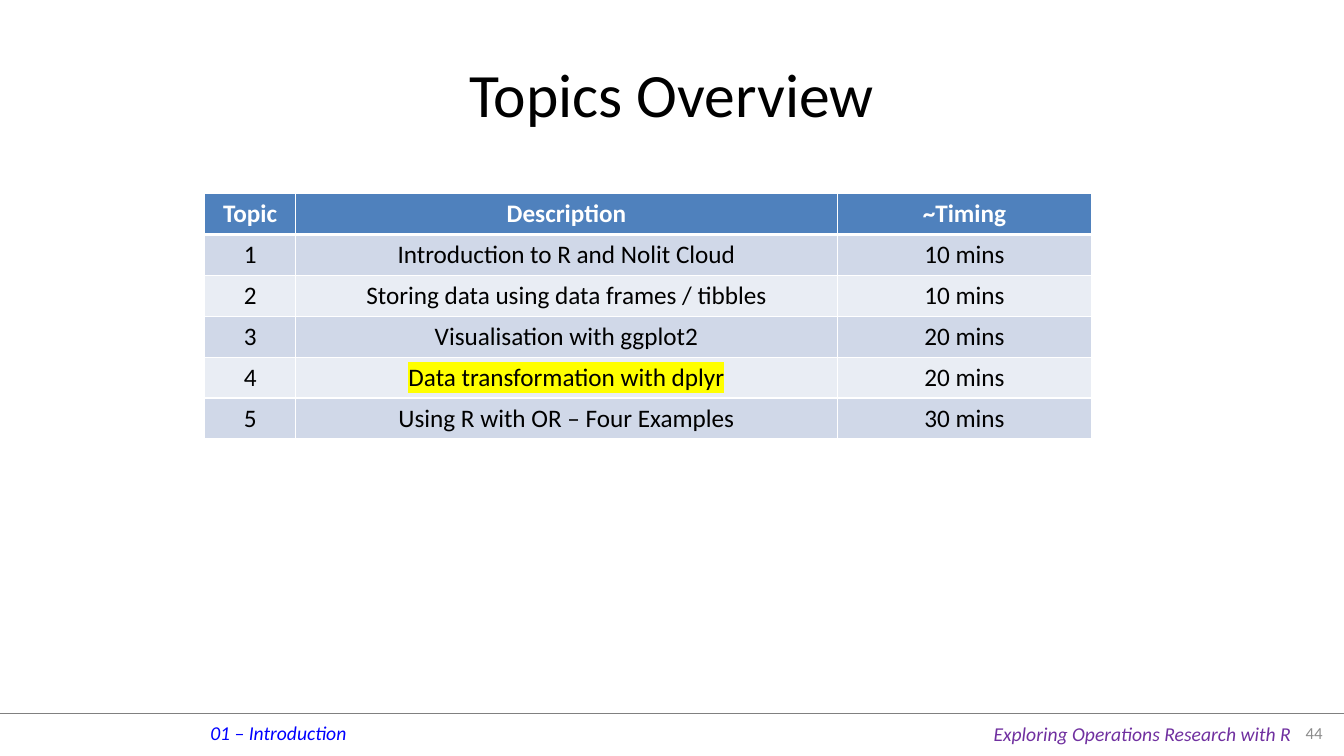
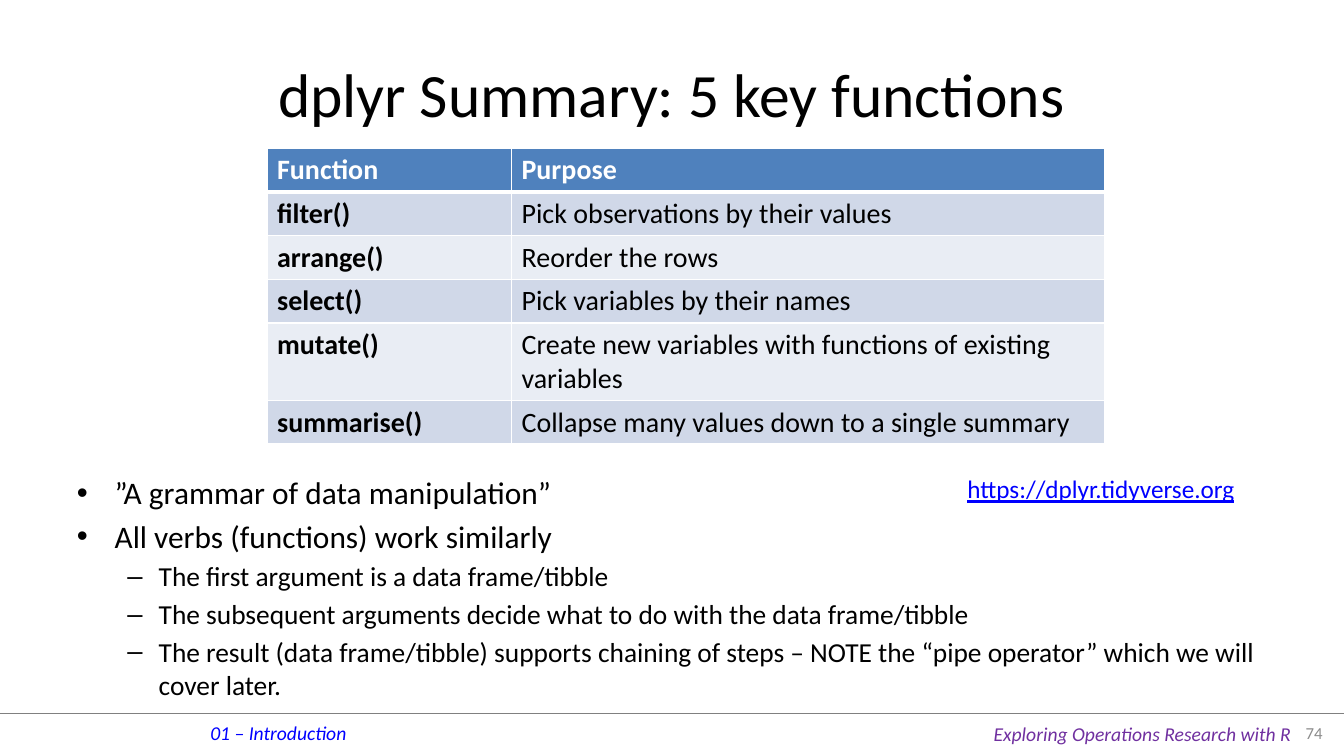
"""Build two course slides: a topic overview and a dplyr summary."""
from dataclasses import dataclass

from lxml.etree import SubElement
from pptx import Presentation
from pptx.dml.color import RGBColor
from pptx.enum.shapes import MSO_CONNECTOR
from pptx.enum.text import MSO_ANCHOR, MSO_AUTO_SIZE, PP_ALIGN
from pptx.oxml import parse_xml
from pptx.oxml.ns import nsdecls, qn
from pptx.util import Cm, Pt


@dataclass(frozen=True)
class Theme:
    """Colours, face and type sizes."""
    face: str = "Calibri"
    black: str = "000000"
    white: str = "FFFFFF"
    blue: str = "0000FF"
    purple: str = "7030A0"
    grey: str = "8C8C8C"
    rule: str = "808080"
    head: str = "4F81BD"
    bands: tuple = ("D0D8E8", "E9EDF4")
    mark: str = "FFFF00"
    title: float = 44
    foot: float = 14
    page: float = 12
    link: float = 18
    levels: tuple = (22.4, 19.6)


T = Theme()
WIDE, HIGH = 33.87, 19.05
RULE = 17.96

FOOTER = [
    ("01 – Introduction", (5.05, 18.03, 3.99, 0.86), T.blue),
    ("Exploring Operations Research with R", (24.79, 18.06, 8.08, 0.86), T.purple),
]

TOPICS = {
    "rows": [
        ("Topic", "Description", "~Timing"),
        ("1", "Introduction to R and Nolit Cloud", "10 mins"),
        ("2", "Storing data using data frames / tibbles", "10 mins"),
        ("3", "Visualisation with ggplot2", "20 mins"),
        ("4", "Data transformation with dplyr", "20 mins"),
        ("5", "Using R with OR – Four Examples", "30 mins"),
    ],
    "at": (5.16, 4.88), "cols": (2.29, 13.65, 6.41), "size": 18,
    "align": PP_ALIGN.CENTER, "marked": "Data transformation with dplyr",
}

VERBS = {
    "rows": [
        ("Function", "Purpose"),
        ("filter()", "Pick observations by their values"),
        ("arrange()", "Reorder the rows"),
        ("select()", "Pick variables by their names"),
        ("mutate()", "Create new variables with functions of existing variables"),
        ("summarise()", "Collapse many values down to a single summary"),
    ],
    "at": (6.73, 3.73), "cols": (6.16, 14.95), "size": 20,
    "align": PP_ALIGN.LEFT, "keyed": True,
}

NOTES = [
    (0, "”A grammar of data manipulation”"),
    (0, "All verbs (functions) work similarly"),
    (1, "The first argument is a data frame/tibble"),
    (1, "The subsequent arguments decide what to do with the data frame/tibble"),
    (1, "The result (data frame/tibble) supports chaining of steps – NOTE the "
        "“pipe operator” which we will cover later."),
]
BULLETS = (("•", 0.95, -0.95, 4), ("–", 2.06, -0.79, 3.5))

SLIDES = [
    {"title": "Topics Overview", "page": "44", "table": TOPICS},
    {"title": "dplyr Summary: 5 key functions", "page": "74", "table": VERBS,
     "notes": NOTES, "link": "https://dplyr.tidyverse.org"},
]


def write(para, text, size, color=T.black, **form):
    run = para.add_run()
    run.text = text
    for key, val in {"name": T.face, "size": Pt(size), **form}.items():
        setattr(run.font, key, val)
    run.font.color.rgb = RGBColor.from_string(color)
    return run


def frame(slide, spot, **form):
    text = slide.shapes.add_textbox(*map(Cm, spot)).text_frame
    base = {"word_wrap": True, "auto_size": MSO_AUTO_SIZE.NONE}
    for key, val in {**base, **form}.items():
        setattr(text, key, val)
    return text


def label(slide, text, spot, size, color, align=PP_ALIGN.LEFT, form=None, **font):
    para = frame(slide, spot, **(form or {})).paragraphs[0]
    para.alignment = align
    write(para, text, size, color, **font)


def edge(cell, top, base):
    props = cell._tc.get_or_add_tcPr()
    for side, width in (("L", 1), ("R", 1), ("T", top), ("B", base)):
        props.append(parse_xml(
            f'<a:ln{side} {nsdecls("a")} w="{Pt(width)}"><a:solidFill>'
            f'<a:srgbClr val="{T.white}"/></a:solidFill></a:ln{side}>'))


def mark(run):
    face = run._r.get_or_add_rPr().find(qn("a:latin"))
    face.addprevious(parse_xml(
        f'<a:highlight {nsdecls("a")}><a:srgbClr val="{T.mark}"/></a:highlight>'))


def grid(slide, data):
    rows, cols = data["rows"], data["cols"]
    tall = 1.03
    spot = (*data["at"], sum(cols), tall * len(rows))
    table = slide.shapes.add_table(len(rows), len(cols), *map(Cm, spot)).table
    for col, width in zip(table.columns, cols):
        col.width = Cm(width)
    for i, row in enumerate(rows):
        table.rows[i].height = Cm(tall)
        for j, text in enumerate(row):
            cell = table.cell(i, j)
            edge(cell, 3 if i == 1 else 1, 3 if i == 0 else 1)
            cell.fill.solid()
            fill = T.bands[(i - 1) % 2] if i else T.head
            cell.fill.fore_color.rgb = RGBColor.from_string(fill)
            para = cell.text_frame.paragraphs[0]
            para.alignment = data["align"]
            bold = i == 0 or (j == 0 and data.get("keyed", False))
            run = write(para, text, data["size"], T.black if i else T.white, bold=bold)
            if text == data.get("marked"):
                mark(run)


def points(slide, notes):
    text = frame(slide, (1.69, 11.81, 30.48, 5.51))
    for i, (level, line) in enumerate(notes):
        para = text.add_paragraph() if i else text.paragraphs[0]
        sign, left, hang, gap = BULLETS[level]
        props = para._p.get_or_add_pPr()
        props.set("marL", str(Cm(left)))
        props.set("indent", str(Cm(hang)))
        SubElement(props, qn("a:buFont")).set("typeface", "Arial")
        SubElement(props, qn("a:buChar")).set("char", sign)
        para.level = level
        if i:
            para.space_before = Pt(gap)
        write(para, line, T.levels[level])


def base(slide, title, page):
    ends = map(Cm, (0, RULE, WIDE, RULE))
    rule = slide.shapes.add_connector(MSO_CONNECTOR.STRAIGHT, *ends)
    rule.line.color.rgb = RGBColor.from_string(T.rule)
    rule.line.width = Pt(0.25)
    SubElement(rule._element.spPr, qn("a:effectLst"))
    grow = {"word_wrap": False, "auto_size": MSO_AUTO_SIZE.SHAPE_TO_FIT_TEXT}
    for text, spot, color in FOOTER:
        label(slide, text, spot, T.foot, color, form=grow, italic=True)
    mid = {"vertical_anchor": MSO_ANCHOR.MIDDLE}
    label(slide, title, (1.69, 0.76, 30.48, 3.18), T.title, T.black,
          PP_ALIGN.CENTER, mid)
    label(slide, page, (32.18, RULE, 1.4, 0.99), T.page, T.grey,
          PP_ALIGN.RIGHT, mid)


def main():
    deck = Presentation()
    deck.slide_width, deck.slide_height = Cm(WIDE), Cm(HIGH)
    for item in SLIDES:
        slide = deck.slides.add_slide(deck.slide_layouts[6])
        base(slide, item["title"], item["page"])
        if "notes" in item:
            points(slide, item["notes"])
        grid(slide, item["table"])
        if "link" in item:
            label(slide, item["link"], (24.13, 11.81, 7.47, 1.02), T.link,
                  T.blue, underline=True)
    deck.save("out.pptx")


if __name__ == "__main__":
    main()
